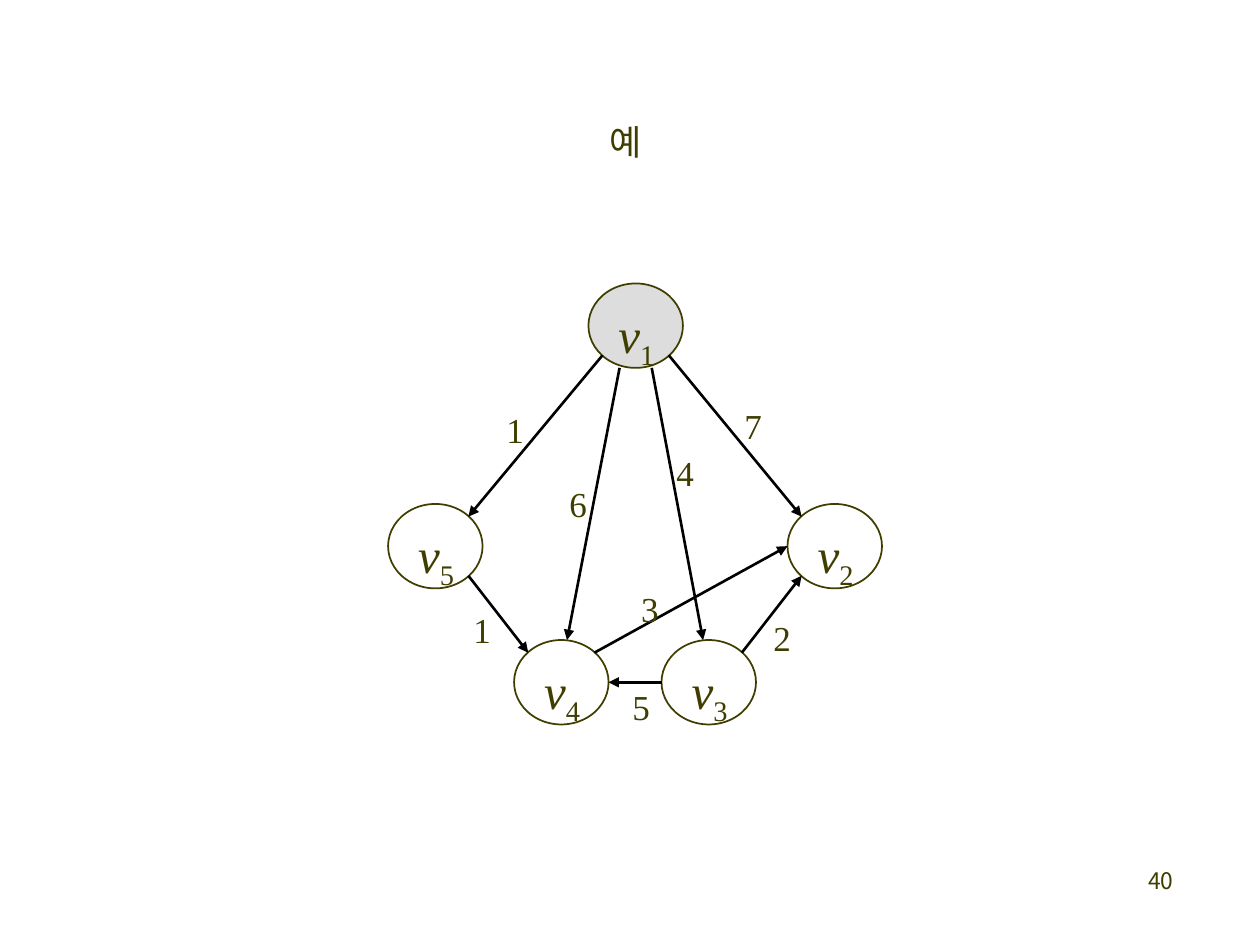
from dataclasses import dataclass

from lxml.etree import SubElement
from pptx import Presentation
from pptx.dml.color import RGBColor
from pptx.enum.shapes import MSO_CONNECTOR, MSO_SHAPE
from pptx.enum.text import MSO_ANCHOR, PP_ALIGN
from pptx.oxml.ns import qn
from pptx.util import Inches, Pt


@dataclass(frozen=True)
class Theme:
    ink: RGBColor = RGBColor(0x3F, 0x3E, 0x00)
    edge: RGBColor = RGBColor(0, 0, 0)
    source_fill: RGBColor = RGBColor(0xDD, 0xDD, 0xDD)
    serif: str = "Times New Roman"
    sans: str = "Noto Sans CJK KR"
    title_size: Pt = Pt(20)
    node_size: Pt = Pt(28)
    weight_size: Pt = Pt(20)
    number_size: Pt = Pt(13)
    outline_width: Pt = Pt(1)
    edge_width: Pt = Pt(1.5)


NODE_W, NODE_H = 0.75, 0.67
NODES = {  # name: left, top
    "1": (4.67, 2.25),
    "2": (6.25, 4),
    "3": (5.25, 5.08),
    "4": (4.08, 5.08),
    "5": (3.08, 4),
}
# Where an edge meets a node, as fractions of the node's width and height
TL, TR, BL, BR = (0.15, 0.15), (0.85, 0.15), (0.15, 0.85), (0.85, 0.85)
LEFT, RIGHT = (0, 0.5), (1, 0.5)
EDGES = [  # from, port, to, port, weight, weight left, weight top
    ("1", BR, "2", TL, "7", 5.81, 3.15),
    ("1", BL, "5", TR, "1", 3.92, 3.18),
    ("5", BR, "4", TL, "1", 3.66, 4.77),
    ("3", TR, "2", BL, "2", 6.04, 4.83),
    ("3", LEFT, "4", RIGHT, "5", 4.92, 5.38),
    ("1", (0.33, 1), "4", (0.56, 0), "6", 4.42, 3.77),
    ("1", (0.67, 1), "3", (0.44, 0), "4", 5.27, 3.52),
    ("4", TR, "2", LEFT, "3", 4.99, 4.6),
]


def set_attrs(obj, values):
    for name, value in values.items():
        setattr(obj, name, value)


def port_point(node, port):
    """Return the slide position in inches of a port on a node."""
    left, top = NODES[node]
    return left + NODE_W * port[0], top + NODE_H * port[1]


class SlideBuilder:
    def __init__(self, slide, theme):
        self.slide = slide
        self.theme = theme

    def add_run(self, p, text, **font):
        r = p.add_run()
        r.text = text
        set_attrs(r.font, {"name": self.theme.serif, **font})
        r.font.color.rgb = self.theme.ink
        return r

    def title(self, text, left, top, width, height):
        sp = self.slide.shapes.title
        set_attrs(sp, {"left": Inches(left), "top": Inches(top),
                       "width": Inches(width), "height": Inches(height)})
        tf = sp.text_frame
        tf.vertical_anchor = MSO_ANCHOR.MIDDLE
        p = tf.paragraphs[0]
        p.alignment = PP_ALIGN.CENTER
        r = self.add_run(p, text, size=self.theme.title_size)
        SubElement(r.font._element, qn("a:ea"), typeface=self.theme.sans)

    def text_box(self, left, top, width, height, frame, paragraph):
        """Add a text box and return its first paragraph."""
        sp = self.slide.shapes.add_textbox(
            Inches(left), Inches(top), Inches(width), Inches(height))
        set_attrs(sp.text_frame, frame)
        p = sp.text_frame.paragraphs[0]
        set_attrs(p, paragraph)
        return p

    def label(self, left, top, width, height, margin_top):
        frame = {"word_wrap": False, "margin_top": Inches(margin_top),
                 "margin_bottom": 0}
        return self.text_box(left, top, width, height, frame,
                             {"line_spacing": 0.9})

    def node(self, name, fill=None):
        left, top = NODES[name]
        sp = self.slide.shapes.add_shape(
            MSO_SHAPE.OVAL, Inches(left), Inches(top),
            Inches(NODE_W), Inches(NODE_H))
        sp.shadow.inherit = False
        if fill is None:
            sp.fill.background()
        else:
            sp.fill.solid()
            sp.fill.fore_color.rgb = fill
        sp.line.color.rgb = self.theme.ink
        sp.line.width = self.theme.outline_width

        p = self.label(left + 0.14, top + 0.04, 0.51, 0.52, 0.13)
        size = self.theme.node_size
        self.add_run(p, "v", size=size, italic=True)
        r = self.add_run(p, name, size=size, italic=False)
        r.font._element.set("baseline", "-25000")

    def arrow(self, start, end):
        x1, y1, x2, y2 = (Inches(v) for v in (*start, *end))
        cxn = self.slide.shapes.add_connector(
            MSO_CONNECTOR.STRAIGHT, x1, y1, x2, y2)
        cxn.line.color.rgb = self.theme.edge
        cxn.line.width = self.theme.edge_width
        SubElement(cxn.line._get_or_add_ln(), qn("a:tailEnd"), type="triangle")
        SubElement(cxn._element.spPr, qn("a:effectLst"))

    def weight(self, text, left, top):
        p = self.label(left, top, 0.34, 0.4, 0.1)
        self.add_run(p, text, size=self.theme.weight_size)

    def page_number(self, text, left, top, width, height):
        p = self.text_box(left, top, width, height, {"word_wrap": True},
                          {"alignment": PP_ALIGN.RIGHT})
        self.add_run(p, text, name=self.theme.sans,
                     size=self.theme.number_size)


def main():
    prs = Presentation()
    prs.slide_width, prs.slide_height = Inches(10), Inches(7.5)
    theme = Theme()
    s = SlideBuilder(prs.slides.add_slide(prs.slide_layouts[5]), theme)

    s.title("예 ", 0.75, 0.67, 8.5, 0.9)
    s.page_number("40", 7.33, 6.83, 2.08, 0.5)
    for name in NODES:
        s.node(name, theme.source_fill if name == "1" else None)
    for start, start_port, end, end_port, *_ in EDGES:
        s.arrow(port_point(start, start_port), port_point(end, end_port))
    for *_, weight, left, top in EDGES:
        s.weight(weight, left, top)

    prs.save("out.pptx")


if __name__ == "__main__":
    main()
